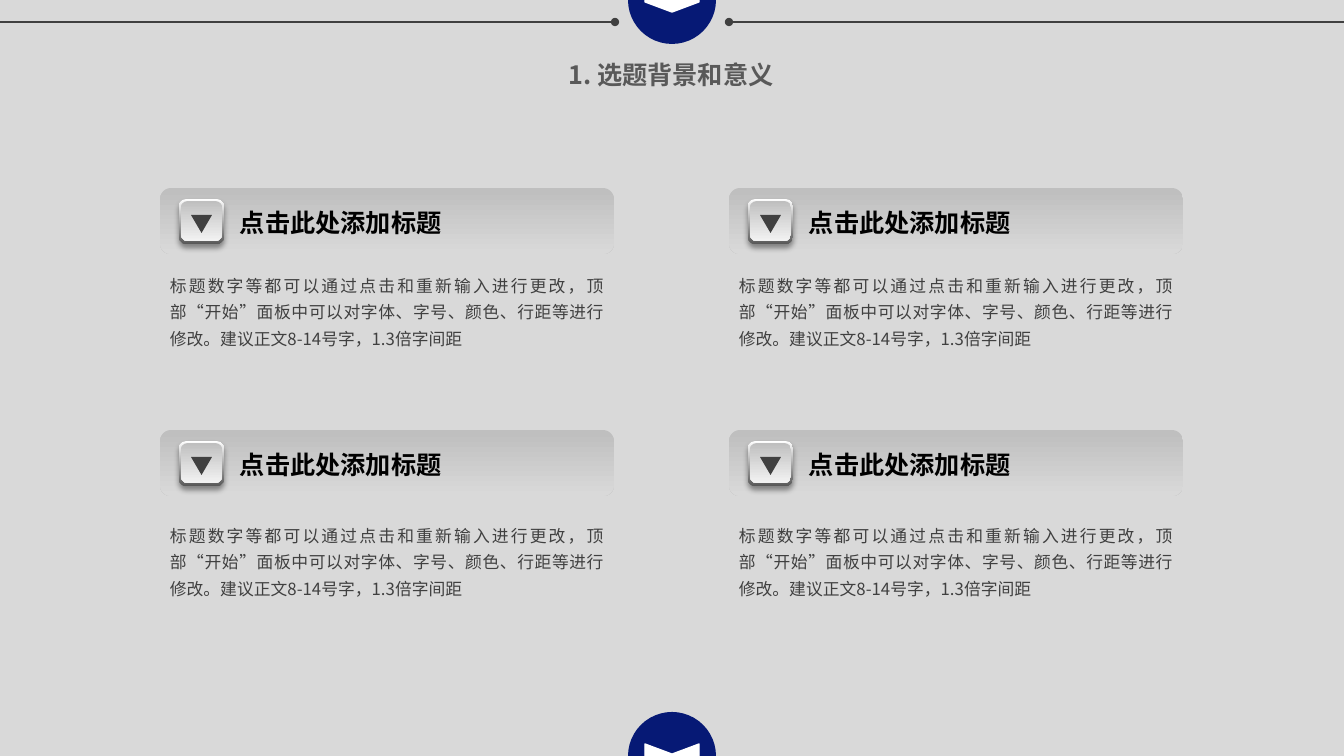
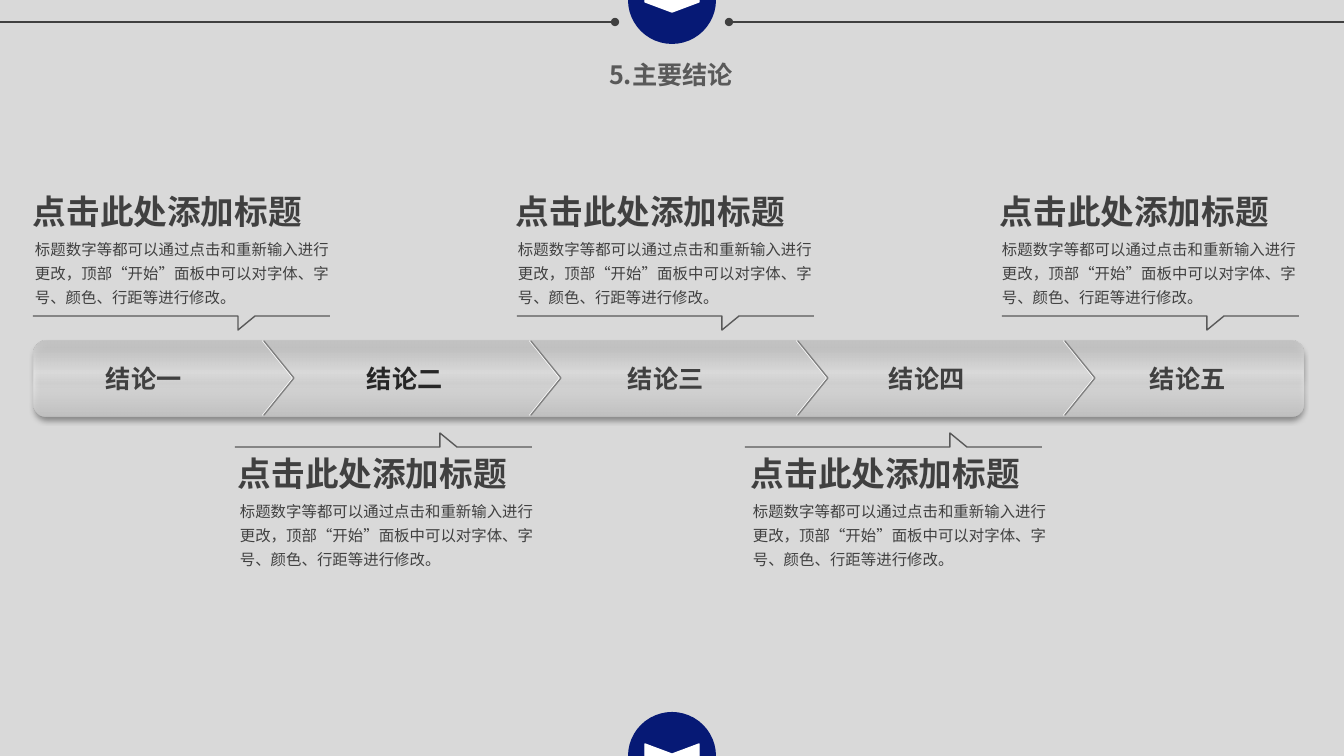
"""Build two grey slides: a grid of topic cards and a row of conclusions."""
from dataclasses import dataclass
from itertools import product

from lxml import etree
from pptx import Presentation
from pptx import util as u
from pptx.dml.color import RGBColor
from pptx.enum import shapes, text
from pptx.oxml import ns
from pptx.shapes.autoshape import Shape
from pptx.slide import Slide

WIDE, HIGH = 1344, 756
SCALE = 12192000 / WIDE
FONT = "Noto Sans CJK SC"
BLACK = RGBColor(0x00, 0x00, 0x00)
INK = RGBColor(0x26, 0x26, 0x26)
DARK = RGBColor(0x40, 0x40, 0x40)
SLATE = RGBColor(0x59, 0x59, 0x59)
GREY = RGBColor(0x80, 0x80, 0x80)
SILVER = RGBColor(0xBF, 0xBF, 0xBF)
PALE = RGBColor(0xD9, 0xD9, 0xD9)
MIST = RGBColor(0xE5, 0xE5, 0xE5)
SNOW = RGBColor(0xF2, 0xF2, 0xF2)
WHITE = RGBColor(0xFF, 0xFF, 0xFF)
NAVY = RGBColor(0x06, 0x19, 0x75)
KIND = shapes.MSO_SHAPE
ALIGN = text.PP_ALIGN

HEAD = "点击此处添加标题"
BASE = "标题数字等都可以通过点击和重新输入进行更改，顶部“开始”面板中可以对字体、字号、颜色、行距等进行修改。"
TIP = "建议正文8-14号字，1.3倍字间距"


@dataclass(frozen=True)
class Box:
    """Hold a place in px."""
    x: int
    y: int
    w: int
    h: int


@dataclass(frozen=True)
class Style:
    """Hold the look of a text."""
    size: int
    color: RGBColor = DARK
    bold: bool = True
    align: ALIGN = ALIGN.LEFT
    space: float = 1.0
    wrap: bool = True


@dataclass(frozen=True)
class Stop:
    """Hold one gradient stop, in percent."""
    at: int
    color: RGBColor
    alpha: int = 100


@dataclass(frozen=True)
class Note:
    """Hold the left edges of a callout line and its text."""
    line: int
    left: int
    above: bool


TITLE = Style(18, SLATE, align=ALIGN.CENTER)
CARD = Style(18, BLACK)
BODY = Style(12, bold=False, align=ALIGN.JUSTIFY, space=1.3)
LARGE = Style(24, wrap=False)
BAND = (Stop(3, SILVER), Stop(100, PALE))
RIM = (Stop(0, WHITE), Stop(100, SLATE))
FACE = (Stop(0, SILVER), Stop(100, SNOW))
BAR = (Stop(0, SILVER, 86), Stop(42, MIST, 87), Stop(57, SNOW, 60), Stop(100, SILVER))
NOTES = (Note(33, 23, True), Note(235, 228, False), Note(517, 506, True),
         Note(745, 741, False), Note(1002, 990, True))


def px(n: int) -> u.Emu:
    """Turn px into EMU."""
    return u.Emu(round(n * SCALE))


def place(box: Box) -> tuple[u.Emu, ...]:
    """Give a box in EMU."""
    return px(box.x), px(box.y), px(box.w), px(box.h)


def node(host: etree.ElementBase, tag: str, **keys: object) -> etree.ElementBase:
    """Add an XML child with the given keys."""
    return etree.SubElement(host, ns.qn(tag), {k: str(v) for k, v in keys.items()})


def tint(host: etree.ElementBase, color: RGBColor, alpha: int) -> None:
    """Add a colour with its opacity."""
    node(node(host, "a:srgbClr", val=color), "a:alpha", val=alpha * 1000)


def shape(page: Slide, kind: KIND, box: Box, fill: RGBColor | None = None,
          line: RGBColor | None = None, turn: int = 0) -> Shape:
    """Draw a plain preset shape."""
    form = page.shapes.add_shape(kind, *place(box))
    form.shadow.inherit = False
    form.rotation = turn
    paint(form, fill, line)
    return form


def paint(form: Shape, fill: RGBColor | None, line: RGBColor | None) -> None:
    """Set the fill and line of a shape."""
    if fill is None:
        form.fill.background()
    else:
        form.fill.solid()
        form.fill.fore_color.rgb = fill
    if line is None:
        form.line.fill.background()
    else:
        form.line.color.rgb = line
        form.line.width = u.Pt(1)


def panel(page: Slide, box: Box, stops: tuple[Stop, ...], shade: bool = False) -> None:
    """Draw a round panel with a downward gradient."""
    form = shape(page, KIND.ROUNDED_RECTANGLE, box)
    form.fill.gradient()
    form.fill.gradient_angle = 270
    props = form.element.spPr
    host = props.find(".//" + ns.qn("a:gsLst"))
    for old in list(host):
        host.remove(old)
    for stop in stops:
        tint(node(host, "a:gs", pos=stop.at * 1000), stop.color, stop.alpha)
    if shade:
        glow = node(props.find(ns.qn("a:effectLst")), "a:outerShdw", blurRad=u.Pt(4),
                    dist=u.Pt(3), dir=5400000, algn="t", rotWithShape=0)
        tint(glow, BLACK, 40)


def write(page: Slide, box: Box, style: Style, *words: str) -> None:
    """Write one paragraph, run by run."""
    frame = page.shapes.add_textbox(*place(box)).text_frame
    frame.word_wrap = style.wrap
    frame.auto_size = text.MSO_AUTO_SIZE.SHAPE_TO_FIT_TEXT
    para = frame.paragraphs[0]
    para.alignment = style.align
    para.line_spacing = style.space
    for word in words:
        run = para.add_run()
        run.text = word
        run.font.size = u.Pt(style.size)
        run.font.bold = style.bold
        run.font.color.rgb = style.color
        run.font.name = FONT
        node(run.font._element, "a:ea", typeface=FONT)


def rule(page: Slide, start: int, end: int) -> None:
    """Draw a top line that ends in a dot."""
    line = page.shapes.add_connector(shapes.MSO_CONNECTOR.STRAIGHT,
                                     px(start), px(22), px(end), px(22))
    line.line.color.rgb = DARK
    line.line.width = u.Pt(1.25)
    node(line.line._get_or_add_ln(), "a:tailEnd", type="oval")
    node(line._element.spPr, "a:effectLst")


def badge(page: Slide, mid: int) -> None:
    """Draw a disc with a downward chevron."""
    shape(page, KIND.OVAL, Box(628, mid - 44, 88, 88), NAVY)
    mark = shape(page, KIND.CHEVRON, Box(660, mid - 27, 24, 54), WHITE, WHITE, 90)
    mark.adjustments[0] = 0.42


def start(deck: Presentation, title: str) -> Slide:
    """Add a slide with the shared frame and title."""
    page = deck.slides.add_slide(deck.slide_layouts[6])
    page.background.fill.solid()
    page.background.fill.fore_color.rgb = PALE
    rule(page, 0, 615)
    rule(page, WIDE, 729)
    write(page, Box(554, 54, 234, 40), TITLE, title)
    for mid in (0, HIGH):
        badge(page, mid)
    return page


def card(page: Slide, row: int, col: int) -> None:
    """Draw a card with a button, heading and body."""
    x, y = 160 + 569 * col, 188 + 242 * row
    panel(page, Box(x, y, 454, 66), BAND)
    write(page, Box(x + 70, y + 14, 269, 40), CARD, HEAD)
    panel(page, Box(x + 19, y + 11, 45, 45), RIM, True)
    panel(page, Box(x + 21, y + 13, 41, 40), FACE)
    shape(page, KIND.ISOSCELES_TRIANGLE, Box(x + 31, y + 27, 21, 18), DARK, turn=180)
    write(page, Box(x, 265 + 250 * row, 454, 90), BODY, BASE, TIP)


def callout(page: Slide, note: Note) -> None:
    """Draw a notched line with its heading and body."""
    y, tip, top = (316, 14, 186) if note.above else (447, -14, 448)
    path = page.shapes.build_freeform(note.line, y, scale=SCALE)
    steps = ((205, 0), (205, tip), (222, 0), (297, 0))
    path.add_line_segments([(note.line + dx, y + dy) for dx, dy in steps], close=False)
    form = path.convert_to_shape()
    form.shadow.inherit = False
    paint(form, None, SLATE)
    write(page, Box(note.left, top, 291, 50), LARGE, HEAD)
    align = ALIGN.JUSTIFY if note.above else ALIGN.LEFT
    style = Style(11, bold=False, align=align, space=1.3)
    write(page, Box(note.left + 2, top + 44, 314, 83), style, BASE)


def topics(deck: Presentation) -> None:
    """Build the slide of four cards."""
    page = start(deck, "1. 选题背景和意义")
    for row, col in product(range(2), repeat=2):
        card(page, row, col)


def results(deck: Presentation) -> None:
    """Build the slide of five conclusions."""
    page = start(deck, "5.主要结论")
    panel(page, Box(34, 341, 1269, 75), BAR, True)
    for i, (dx, color) in product(range(4), enumerate((WHITE, GREY))):
        edge = shape(page, KIND.CHEVRON, Box(263 + 267 * i + dx, 341, 30, 74), line=color)
        edge.adjustments[0] = 1
    for i, mark in enumerate("一二三四五"):
        style = Style(18, INK if i == 1 else DARK, wrap=False)
        write(page, Box(96 + 261 * i, 358, 97, 40), style, "结论" + mark)
    for note in NOTES:
        callout(page, note)


def main() -> None:
    """Build and save the deck."""
    deck = Presentation()
    deck.slide_width, deck.slide_height = px(WIDE), px(HIGH)
    topics(deck)
    results(deck)
    deck.save("out.pptx")


if __name__ == "__main__":
    main()
